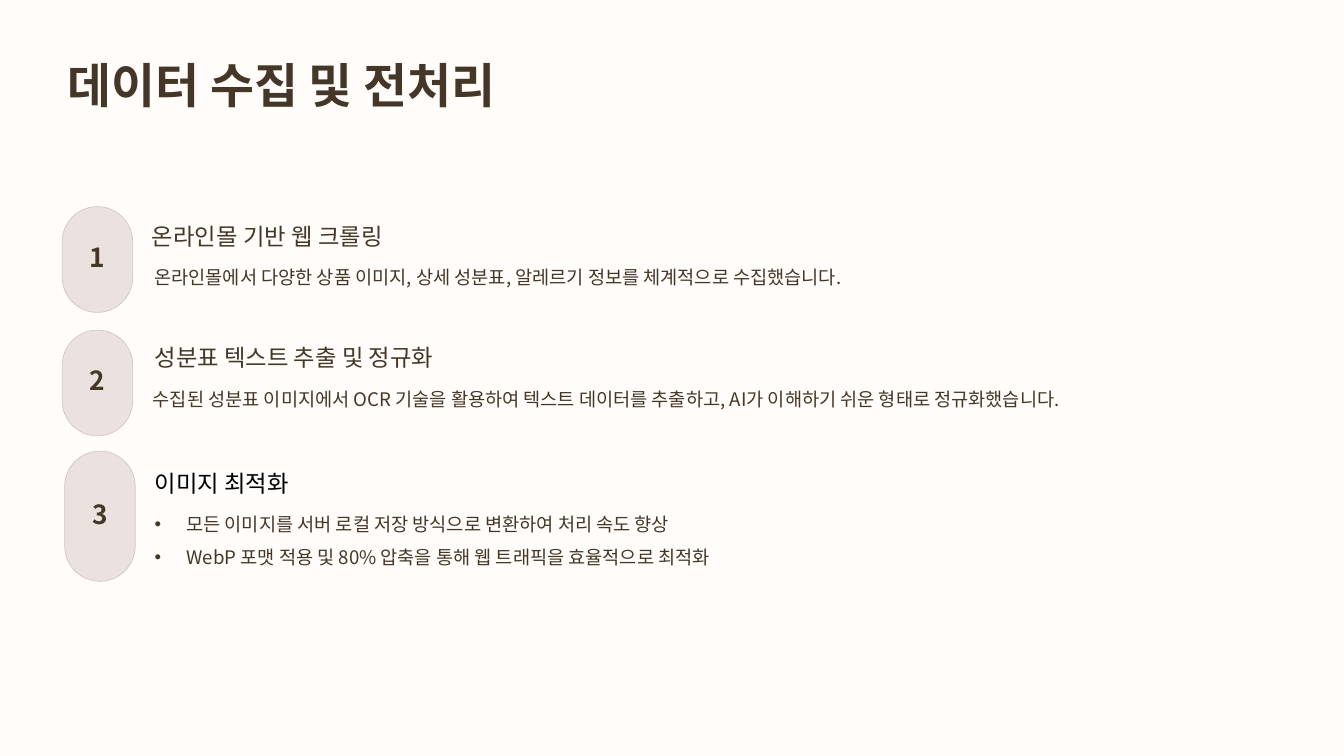
from pptx import Presentation
from pptx.dml.color import RGBColor
from pptx.enum import shapes, text
from pptx.oxml import ns, xmlchemy
from pptx.util import Inches, Pt
from dataclasses import dataclass

TITLE = "데이터 수집 및 전처리"
STEPS = [
    {
        "badge": (0.74, 2.46, 1.26),
        "heading": ("온라인몰 기반 웹 크롤링", 1.81, 2.71),
        "detail": ("온라인몰에서 다양한 상품 이미지, 상세 성분표, 알레르기 정보를 체계적으로 수집했습니다.", 1.84, 3.15),
    },
    {
        "badge": (0.74, 3.93, 1.26),
        "heading": ("성분표 텍스트 추출 및 정규화", 1.84, 4.15),
        "detail": (
            "수집된 성분표 이미지에서 OCR 기술을 활용하여 텍스트 데이터를 추출하고, "
            "AI가 이해하기 쉬운 형태로 정규화했습니다.", 1.82, 4.61),
    },
    {
        "badge": (0.77, 5.37, 1.55),
        "heading": ("이미지 최적화", 1.84, 5.65),
    },
]
BULLETS = [
    "모든 이미지를 서버 로컬 저장 방식으로 변환하여 처리 속도 향상",
    "WebP 포맷 적용 및 80% 압축을 통해 웹 트래픽을 효율적으로 최적화",
]
BADGE_WIDTH, TEXT_WIDTH, TEXT_HEIGHT, BULLET_INDENT = 0.84, 12.5, 0.36, 0.38


@dataclass(frozen=True)
class Theme:
    font: str = "Noto Sans CJK KR"
    background: RGBColor = RGBColor(0xFF, 0xFC, 0xFA)
    ink: RGBColor = RGBColor(0x44, 0x37, 0x28)
    black: RGBColor = RGBColor(0, 0, 0)
    badge: RGBColor = RGBColor(0xEB, 0xE2, 0xE0)
    outline: RGBColor = RGBColor(0xD1, 0xC8, 0xC6)
    title: float = 41
    number: float = 22.5
    heading: float = 20
    detail: float = 16


THEME = Theme()


def place(shape, left, top, width, height):
    shape.left, shape.top = Inches(left), Inches(top)
    shape.width, shape.height = Inches(width), Inches(height)


def write(shape, content, size, leading, color=THEME.ink, bold=False,
          align=text.PP_ALIGN.LEFT, anchor=text.MSO_ANCHOR.MIDDLE):
    frame = shape.text_frame
    frame.text = content
    frame.word_wrap = True
    frame.auto_size = text.MSO_AUTO_SIZE.NONE
    frame.vertical_anchor = anchor
    frame.margin_left = frame.margin_right = frame.margin_top = frame.margin_bottom = 0
    for paragraph in frame.paragraphs:
        paragraph.alignment = align
        paragraph.line_spacing = Pt(leading)
        paragraph.space_before = Pt(0)
        for run in paragraph.runs:
            font = run.font
            font.name, font.size, font.bold = THEME.font, Pt(size), bold
            font.color.rgb = color
            east_asian = xmlchemy.OxmlElement("a:ea")
            east_asian.set("typeface", THEME.font)
            run._r.get_or_add_rPr().find(ns.qn("a:latin")).addnext(east_asian)


def add_text(slide, entry, size, leading, color=THEME.ink):
    content, left, top = entry
    box = slide.shapes.add_textbox(
        Inches(left), Inches(top), Inches(TEXT_WIDTH), Inches(TEXT_HEIGHT))
    write(box, content, size, leading, color)


def add_badge(slide, number, left, top, height):
    badge = slide.shapes.add_shape(
        shapes.MSO_SHAPE.ROUNDED_RECTANGLE,
        Inches(left), Inches(top), Inches(BADGE_WIDTH), Inches(height))
    badge.adjustments[0] = 0.5
    badge.shadow.inherit = False
    badge.fill.solid()
    badge.fill.fore_color.rgb = THEME.badge
    badge.line.color.rgb = THEME.outline
    badge.line.width = Pt(0.6)
    write(badge, str(number), THEME.number, 22.5, bold=True, align=text.PP_ALIGN.CENTER)


def add_bullets(body):
    place(body, 1.84, 6.1, TEXT_WIDTH, 0.75)
    write(body, "\n".join(BULLETS), THEME.detail, 14)
    for index, paragraph in enumerate(body.text_frame.paragraphs):
        paragraph.space_before = Pt(14 if index else 0)
        properties = paragraph._p.get_or_add_pPr()
        properties.set("marL", str(Inches(BULLET_INDENT)))
        properties.set("indent", str(-Inches(BULLET_INDENT)))
        for tag, name, value in (("a:buFont", "typeface", "Arial"), ("a:buChar", "char", "•")):
            element = xmlchemy.OxmlElement(tag)
            element.set(name, value)
            properties.append(element)


def main():
    """Build the data collection and preprocessing slide."""
    presentation = Presentation()
    presentation.slide_width, presentation.slide_height = Inches(16), Inches(9)
    slide = presentation.slides.add_slide(presentation.slide_layouts[1])
    slide.background.fill.solid()
    slide.background.fill.fore_color.rgb = THEME.background

    title, body = slide.placeholders
    place(title, 0.8, 0.63, TEXT_WIDTH, 0.72)
    write(title, TITLE, THEME.title, 51.5, bold=True, anchor=text.MSO_ANCHOR.TOP)

    for number, step in enumerate(STEPS, 1):
        add_badge(slide, number, *step["badge"])
        if "detail" in step:
            add_text(slide, step["heading"], THEME.heading, 13.5)
            add_text(slide, step["detail"], THEME.detail, 14)
        else:
            add_text(slide, step["heading"], THEME.heading, 13.5, THEME.black)
    add_bullets(body)
    presentation.save("out.pptx")


if __name__ == "__main__":
    main()
